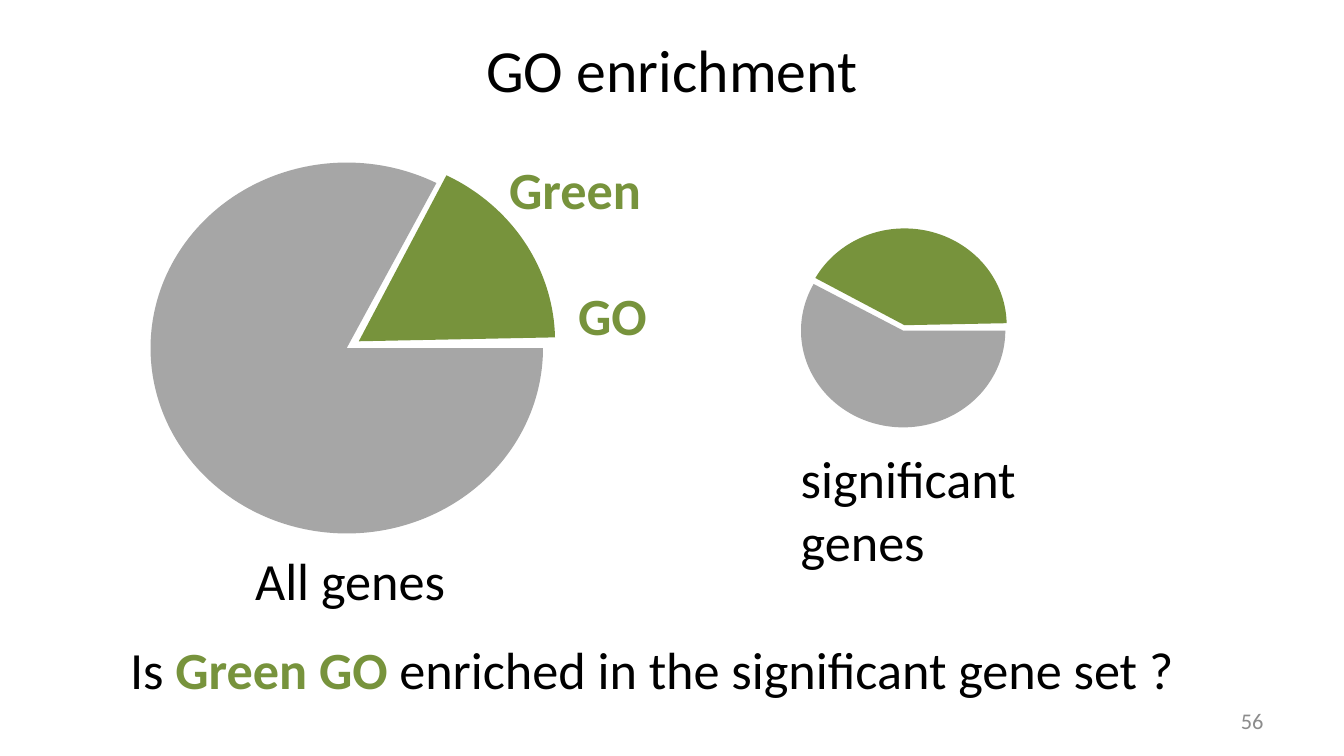
"""Build the GO enrichment slide with two split pies and their labels."""
from pptx import Presentation
from pptx.dml.color import RGBColor
from pptx.enum.shapes import MSO_SHAPE
from pptx.enum.text import MSO_ANCHOR, PP_ALIGN
from pptx.util import Inches, Pt

BLACK, GREEN, GRAY, PALE = "000000", "77933C", "A6A6A6", "8C8C8C"
LEFT, CENTER, RIGHT = PP_ALIGN.LEFT, PP_ALIGN.CENTER, PP_ALIGN.RIGHT

TITLE = ("GO enrichment", (0.5, 0.11, 9, 0.8))
PIES = [
    ((2.92, 2.76), [((1.12, 1.21), 0, 298.53, GRAY),
                    ((1.21, 1.16), 297.83, 358.87, GREEN)]),
    ((1.52, 1.44), [((5.96, 1.74), 0, 207.52, GRAY),
                    ((5.97, 1.7), 207.89, 358.87, GREEN)]),
]
LABELS = [
    ((1.8, 4.03, 1.63, 0.57), [["All genes"]], {"wrap": False}),
    ((5.86, 3.27, 1.83, 1.04), [["significant"], ["genes"]], {"wrap": False}),
    ((0.87, 4.69, 8.13, 0.57),
     [["Is ", ("Green GO", GREEN), " enriched in the significant gene set ?"]], {}),
    ((3.69, 1.12, 1.22, 1.04), [[("Green", GREEN)], [("GO", GREEN)]],
     {"aligns": (LEFT, RIGHT), "gap": 34}),
    ((7.17, 5.21, 2.33, 0.3), [["56"]],
     {"size": 12, "color": PALE, "aligns": (RIGHT,), "anchor": MSO_ANCHOR.MIDDLE}),
]


def rgb(value):
    return RGBColor.from_string(value)


def write(s, lines, size=28, color=BLACK, aligns=(), gap=0,
          anchor=MSO_ANCHOR.TOP, wrap=True):
    tf = s.text_frame
    tf.word_wrap, tf.vertical_anchor = wrap, anchor
    for i, line in enumerate(lines):
        p = tf.add_paragraph() if i else tf.paragraphs[0]
        p.alignment = aligns[i] if aligns else LEFT
        p.space_before = Pt(gap if i else 0)
        for part in line:
            text, accent = (part, None) if isinstance(part, str) else part
            r = p.add_run()
            r.text = text
            r.font.name, r.font.size = "Calibri", Pt(size)
            r.font.bold = accent is not None
            r.font.color.rgb = rgb(accent or color)


def add_slice(slide, box, start, end, color):
    s = slide.shapes.add_shape(MSO_SHAPE.PIE, *map(Inches, box))
    for i, degrees in enumerate((start, end)):
        s.adjustments[i] = degrees * 0.6
    s.shadow.inherit = False
    s.fill.solid()
    s.fill.fore_color.rgb = rgb(color)
    s.line.fill.background()


def main():
    prs = Presentation()
    prs.slide_width, prs.slide_height = Inches(10), Inches(10 * 9 / 16)
    slide = prs.slides.add_slide(prs.slide_layouts[5])

    text, box = TITLE
    title = slide.shapes.title
    title.left, title.top, title.width, title.height = map(Inches, box)
    write(title, [[text]], size=32, aligns=(CENTER,), anchor=MSO_ANCHOR.MIDDLE)

    for size, slices in PIES:
        for corner, start, end, color in slices:
            add_slice(slide, corner + size, start, end, color)

    for box, lines, style in LABELS:
        write(slide.shapes.add_textbox(*map(Inches, box)), lines, **style)

    prs.save("out.pptx")


if __name__ == "__main__":
    main()
